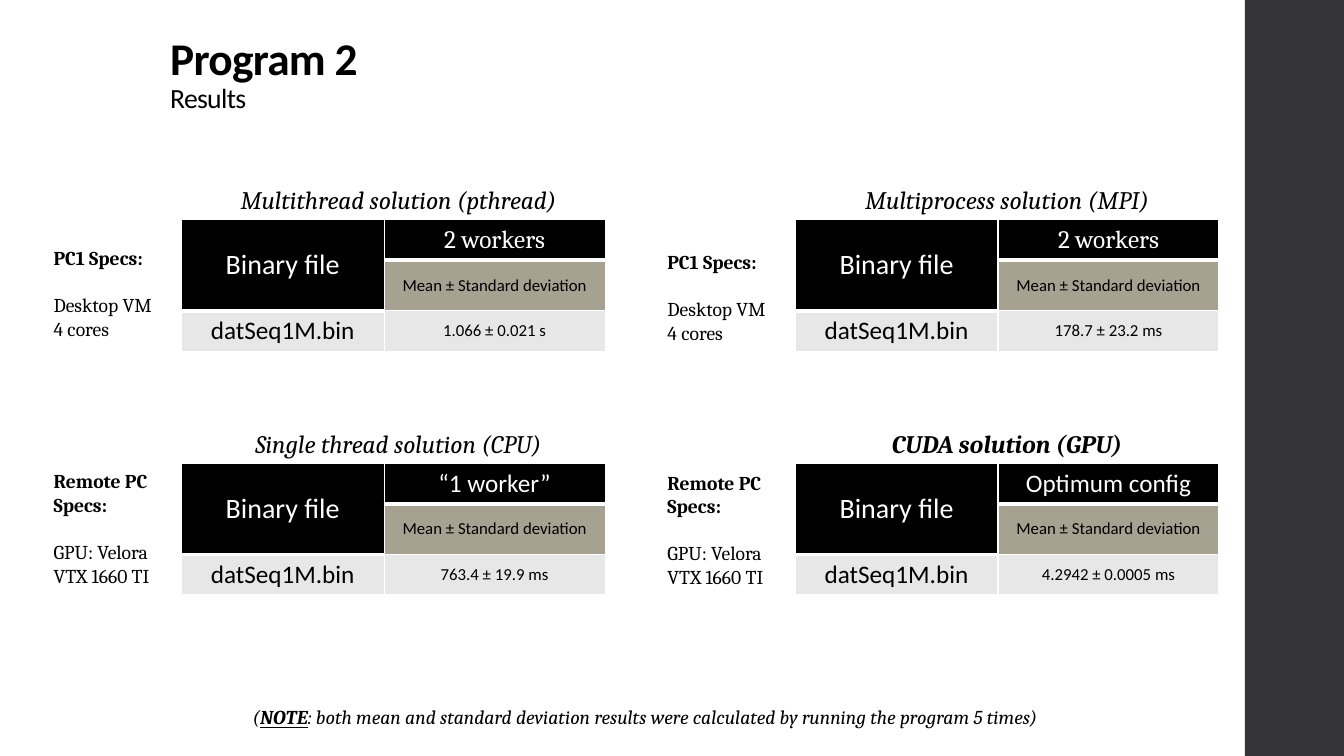
from lxml.etree import SubElement
from pptx import Presentation
from pptx.dml.color import RGBColor
from pptx.enum.shapes import MSO_SHAPE
from pptx.enum.text import MSO_ANCHOR, PP_ALIGN
from pptx.oxml.ns import qn
from pptx.util import Cm, Pt

COLORS = {"black": "000000", "white": "FFFFFF", "sidebar": "353537",
          "subheader": "A7A192", "data": "E7E7E7"}
LOCAL_PC = ("PC1 Specs:", "Desktop VM", "4 cores")
REMOTE_PC = ("Remote PC Specs:", "GPU: Velora VTX 1660 TI")
# caption, bold caption, heading, heading font, result, specs, specs offset below table top
RESULTS = [
    [("Multithread solution (pthread)", False, "2 workers", "Cambria",
      "1.066 ± 0.021 s", LOCAL_PC, 0.53),
     ("Multiprocess solution (MPI)", False, "2 workers", "Cambria",
      "178.7 ± 23.2 ms", LOCAL_PC, 0.63)],
    [("Single thread solution (CPU)", False, "“1 worker”", "Calibri",
      "763.4 ± 19.9 ms", REMOTE_PC, 0.02),
     ("CUDA solution (GPU)", True, "Optimum config", "Calibri",
      "4.2942 ± 0.0005 ms", REMOTE_PC, 0.05)],
]
NOTE = [("(", False), ("NOTE", True),
        (": both mean and standard deviation results were calculated "
         "by running the program 5 times)", False)]

TABLE_LEFTS = (4.57, 20.04)
CAPTION_LEFTS = (4.7, 20.04)
TABLE_TOPS = (5.54, 11.68)
COLUMN_WIDTHS = (5.11, 5.57)
ROW_HEIGHTS = (1.02, 1.27, 1.02)
TABLE_WIDTH = sum(COLUMN_WIDTHS)
CAPTION_HEIGHT = 1.01
SPECS_WIDTH, SPECS_GAP = 3.61, 3.47


def color(name):
    return RGBColor.from_string(COLORS[name])


def set_font(font, name, size, shade="black", bold=False, italic=False):
    font.name, font.size = name, Pt(size)
    font.bold, font.italic = bold, italic
    font.color.rgb = color(shade)


def add_text_box(page, left, top, width, height):
    box = page.shapes.add_textbox(Cm(left), Cm(top), Cm(width), Cm(height))
    box.text_frame.word_wrap = True
    return box.text_frame


def add_title(page):
    frame = add_text_box(page, 4.04, 0.76, 26.67, 2.26)
    frame.vertical_anchor = MSO_ANCHOR.BOTTOM
    para = frame.paragraphs[0]
    para.line_spacing = 0.9
    for text, size, bold in (("Program 2", 32.4, True), ("Results", 19.8, False)):
        if para.runs:
            para.add_line_break()
        span = para.add_run()
        span.text = text
        set_font(span.font, "Calibri", size, bold=bold)
        span.font._element.set("spc", "-50")


def add_caption(page, left, top, text, bold):
    para = add_text_box(page, left, top, TABLE_WIDTH, CAPTION_HEIGHT).paragraphs[0]
    para.text, para.alignment = text, PP_ALIGN.CENTER
    set_font(para.font, "Cambria", 18, bold=bold, italic=True)


def add_specs(page, left, top, lines):
    frame = add_text_box(page, left, top, SPECS_WIDTH, 3)
    for index, line in enumerate(lines):
        para = frame.add_paragraph() if index else frame.paragraphs[0]
        para.text = line
        set_font(para.font, "Cambria", 14, bold=index == 0)
        if index == 1:
            para.space_before = Pt(17)


def add_borders(cell, bottom):
    """Draw white cell edges, 1 pt except for the given bottom width."""
    properties = cell._tc.get_or_add_tcPr()
    for edge, width in (("L", 1), ("R", 1), ("T", 1), ("B", bottom)):
        line = SubElement(properties, qn(f"a:ln{edge}"), w=str(Pt(width)))
        fill = SubElement(line, qn("a:solidFill"))
        SubElement(fill, qn("a:srgbClr"), val=COLORS["white"])


def fill_cell(cell, text, font, size, fill, shade="black", bottom=1):
    add_borders(cell, bottom)
    cell.fill.solid()
    cell.fill.fore_color.rgb = color(fill)
    cell.vertical_anchor = MSO_ANCHOR.MIDDLE
    para = cell.text_frame.paragraphs[0]
    para.text, para.alignment = text, PP_ALIGN.CENTER
    set_font(para.font, font, size, shade)


def add_result_table(page, left, top, heading, heading_font, result):
    table = page.shapes.add_table(3, 2, Cm(left), Cm(top), Cm(TABLE_WIDTH),
                                  Cm(sum(ROW_HEIGHTS))).table
    for column, width in zip(table.columns, COLUMN_WIDTHS):
        column.width = Cm(width)
    for row, height in zip(table.rows, ROW_HEIGHTS):
        row.height = Cm(height)
    table.cell(0, 0).merge(table.cell(1, 0))
    add_borders(table.cell(1, 0), 3)
    fill_cell(table.cell(0, 0), "Binary file", "Calibri", 20, "black", "white", 3)
    fill_cell(table.cell(0, 1), heading, heading_font, 18, "black", "white", 3)
    fill_cell(table.cell(1, 1), "Mean ± Standard deviation", "Calibri", 12, "subheader")
    fill_cell(table.cell(2, 0), "datSeq1M.bin", "Calibri", 18, "data")
    fill_cell(table.cell(2, 1), result, "Calibri", 12, "data")


def add_note(page):
    para = add_text_box(page, 1.73, 17.65, 29.08, 0.86).paragraphs[0]
    para.alignment = PP_ALIGN.CENTER
    for text, marked in NOTE:
        span = para.add_run()
        span.text = text
        set_font(span.font, "Cambria", 14, bold=marked, italic=True)
        span.font.underline = marked


def main():
    deck = Presentation()
    deck.slide_width, deck.slide_height = Cm(33.87), Cm(19.05)
    page = deck.slides.add_slide(deck.slide_layouts[6])

    sidebar = page.shapes.add_shape(MSO_SHAPE.RECTANGLE, Cm(31.37), 0, Cm(2.5), Cm(19.05))
    sidebar.shadow.inherit = False
    sidebar.fill.solid()
    sidebar.fill.fore_color.rgb = color("sidebar")
    sidebar.line.fill.background()

    add_title(page)
    for top, row in zip(TABLE_TOPS, RESULTS):
        for left, caption_left, entry in zip(TABLE_LEFTS, CAPTION_LEFTS, row):
            caption, bold, heading, heading_font, result, specs, offset = entry
            add_caption(page, caption_left, top - CAPTION_HEIGHT, caption, bold)
            add_result_table(page, left, top, heading, heading_font, result)
            add_specs(page, left - SPECS_GAP, top + offset, specs)
    add_note(page)
    deck.save("out.pptx")


if __name__ == "__main__":
    main()
